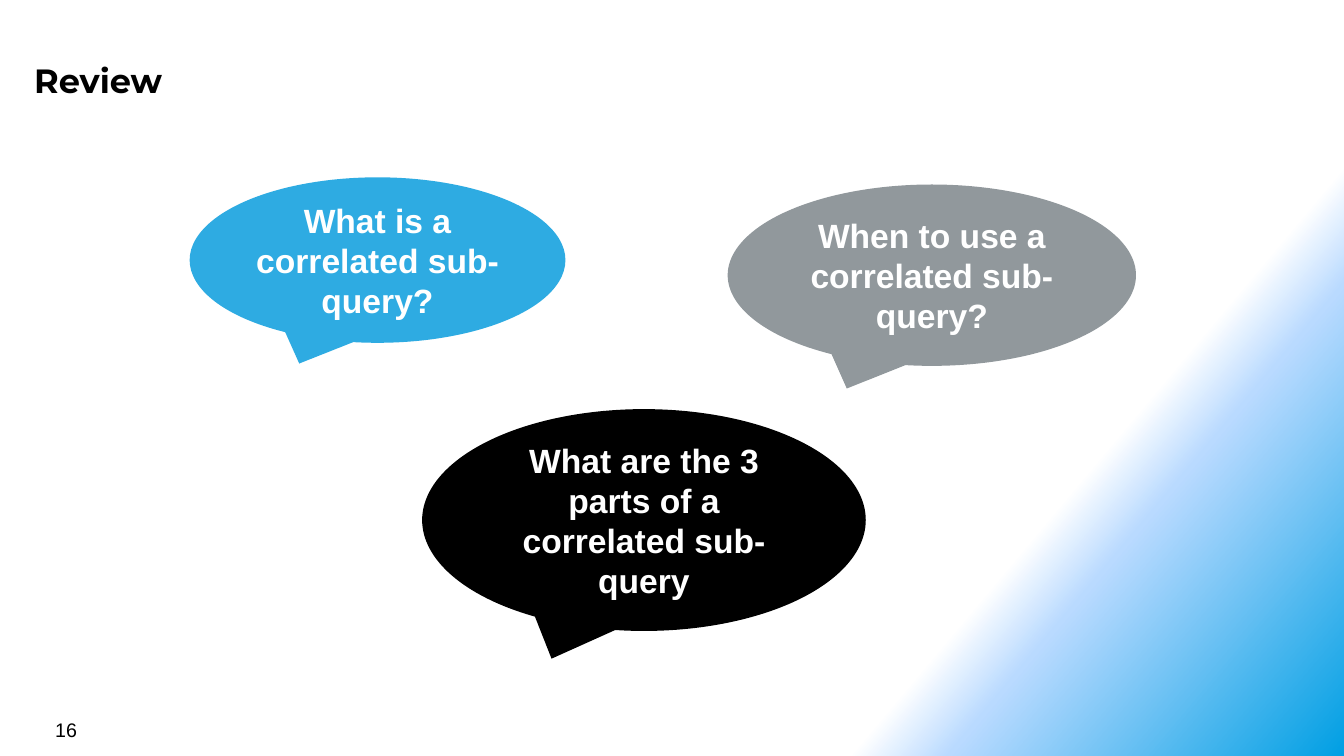
from dataclasses import dataclass

from lxml.etree import SubElement
from pptx import Presentation
from pptx.dml.color import RGBColor
from pptx.enum.shapes import MSO_SHAPE
from pptx.enum.text import MSO_ANCHOR, PP_ALIGN
from pptx.oxml.ns import qn
from pptx.util import Cm, Pt


@dataclass(frozen=True)
class Theme:
    """Colours, fonts and type sizes of the slide."""
    black: str = "000000"
    white: str = "FFFFFF"
    blue: str = "2EABE2"
    grey: str = "91989C"
    glow: tuple = ((75, "FFFFFF", 100), (80, "B9DAFF", 50), (100, "009FE3", 100))
    glow_angle: int = 40
    heading_font: str = "Montserrat"
    body_font: str = "Arial"
    large: int = 24
    small: int = 14


THEME = Theme()

QUESTIONS = (
    ("When to use a correlated sub-query?", THEME.grey, (18.34, 4.65, 10.29, 4.57)),
    ("What are the 3 parts of a correlated sub-query", THEME.black, (10.64, 10.31, 11.18, 5.59)),
    ("What is a correlated sub-query?", THEME.blue, (4.78, 4.47, 9.47, 4.17)),
)


def apply_format(target, values):
    """Set each named attribute of the target."""
    for name, value in values.items():
        setattr(target, name, value)


def write(frame, wording, color, font, size, bold=False, align=PP_ALIGN.LEFT, **layout):
    """Put one formatted paragraph into a text frame."""
    apply_format(frame, {"word_wrap": True, **layout})
    line = frame.paragraphs[0]
    line.alignment = align
    run = line.add_run()
    run.text = wording
    apply_format(run.font, {"name": font, "size": Pt(size), "bold": bold})
    run.font.color.rgb = RGBColor.from_string(color)


def paint_background(slide):
    """Fill the background with the slanted corner glow."""
    fill = slide.background.fill
    fill.gradient()
    fill.gradient_angle = 360 - THEME.glow_angle
    stops = slide.element.find(".//" + qn("a:gsLst"))
    for stop in list(stops):
        stops.remove(stop)
    for position, color, opacity in THEME.glow:
        stop = SubElement(stops, qn("a:gs"), pos=str(position * 1000))
        tint = SubElement(stop, qn("a:srgbClr"), val=color)
        if opacity < 100:
            SubElement(tint, qn("a:alpha"), val=str(opacity * 1000))


def add_label(slide, wording, place, font, size, **style):
    """Add a black line of text."""
    label = slide.shapes.add_textbox(*map(Cm, place))
    write(label.text_frame, wording, THEME.black, font, size, **style)


def add_question(slide, wording, color, place):
    """Add a speech bubble that asks a question."""
    bubble = slide.shapes.add_shape(MSO_SHAPE.OVAL_CALLOUT, *map(Cm, place))
    bubble.shadow.inherit = False
    bubble.fill.solid()
    bubble.fill.fore_color.rgb = RGBColor.from_string(color)
    bubble.line.fill.background()
    write(bubble.text_frame, wording, THEME.white, THEME.body_font, THEME.large, bold=True,
          align=PP_ALIGN.CENTER, vertical_anchor=MSO_ANCHOR.MIDDLE)


def main():
    """Build the review slide and save it."""
    deck = Presentation()
    apply_format(deck, {"slide_width": Cm(33.87), "slide_height": Cm(19.05)})
    slide = deck.slides.add_slide(deck.slide_layouts[6])
    paint_background(slide)
    insets = dict.fromkeys(("margin_left", "margin_top", "margin_right", "margin_bottom"), Cm(0.2))
    add_label(slide, "Review", (0.66, 1.3, 31.14, 1.4), THEME.heading_font, THEME.large,
              bold=True, **insets)
    for wording, color, place in QUESTIONS:
        add_question(slide, wording, color, place)
    add_label(slide, "16", (1.14, 17.96, 7.9, 0.84), THEME.body_font, THEME.small)
    deck.save("out.pptx")


if __name__ == "__main__":
    main()
